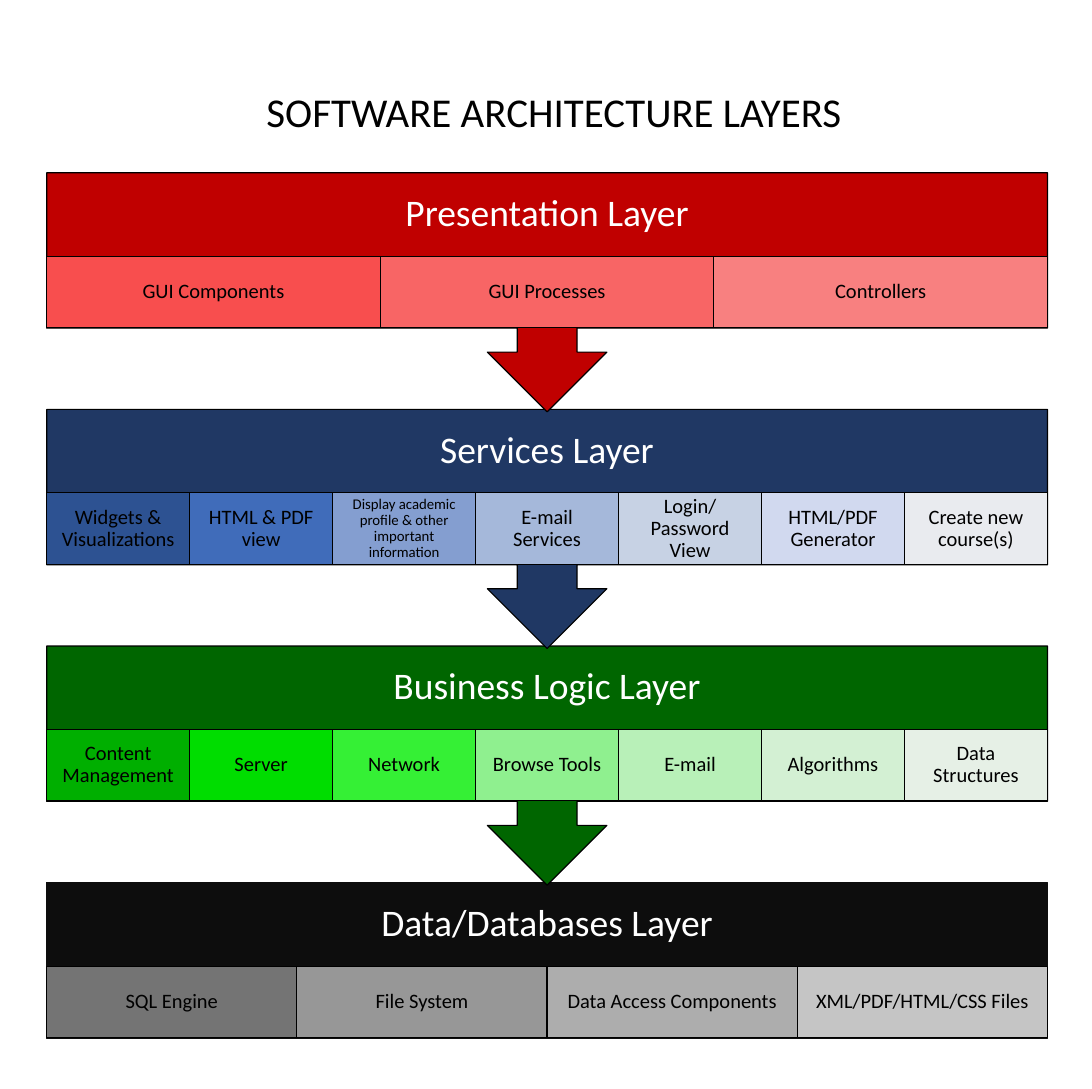
"""Draw the four software architecture layers as stacked callouts."""

from dataclasses import dataclass

from lxml.etree import SubElement
from pptx import Presentation
from pptx.dml.color import RGBColor
from pptx.enum.shapes import MSO_SHAPE
from pptx.enum.text import MSO_ANCHOR, MSO_AUTO_SIZE, PP_ALIGN
from pptx.oxml.ns import qn
from pptx.shapes.autoshape import Shape
from pptx.slide import Slide
from pptx.util import Inches, Pt

BLACK = RGBColor(0x00, 0x00, 0x00)
WHITE = RGBColor(0xFF, 0xFF, 0xFF)
RED = RGBColor(0xC0, 0x00, 0x00)
NAVY = RGBColor(0x20, 0x38, 0x64)
GREEN = RGBColor(0x00, 0x66, 0x00)
CHARCOAL = RGBColor(0x0D, 0x0D, 0x0D)
RED_SHADES = [RGBColor(0xFF, 0x57, 0x57), RGBColor(0xFF, 0x71, 0x71), RGBColor(0xFF, 0x8F, 0x8F)]
BLUE_SHADES = [
    RGBColor(0x2F, 0x55, 0x97), RGBColor(0x44, 0x72, 0xC4), RGBColor(0x8F, 0xAA, 0xDC),
    RGBColor(0xB4, 0xC7, 0xE7), RGBColor(0xDA, 0xE3, 0xF3), RGBColor(0xE5, 0xEB, 0xFF), WHITE,
]
GREEN_SHADES = [
    RGBColor(0x00, 0xB8, 0x00), RGBColor(0x00, 0xEA, 0x00), RGBColor(0x3B, 0xFF, 0x3B),
    RGBColor(0x9F, 0xFF, 0x9F), RGBColor(0xCD, 0xFF, 0xCD), RGBColor(0xEB, 0xFF, 0xEB), WHITE,
]
GRAY_SHADES = [
    RGBColor(0x80, 0x80, 0x80), RGBColor(0xA6, 0xA6, 0xA6),
    RGBColor(0xBF, 0xBF, 0xBF), RGBColor(0xD9, 0xD9, 0xD9),
]

LEFT, TOP, WIDTH = 0.57, 2.11, 12.22
LAYER_PITCH, BODY_HEIGHT, CALLOUT_HEIGHT = 2.89, 1.9, 2.92
TITLE_HEIGHT, COMPONENT_HEIGHT = 1.02, 0.87
SMALL_TEXT = "Display academic profile & other important information"


@dataclass
class Layer:
    """One layer with its title, main colour and components."""

    title: str
    color: RGBColor
    components: list[str]
    shades: list[RGBColor]


LAYERS = [
    Layer("Presentation Layer", RED, ["GUI Components", "GUI Processes", "Controllers"], RED_SHADES),
    Layer("Services Layer", NAVY, [
        "Widgets & Visualizations", "HTML & PDF view", SMALL_TEXT, "E-mail Services",
        "Login/Password View", "HTML/PDF Generator", "Create new course(s)",
    ], BLUE_SHADES),
    Layer("Business Logic Layer", GREEN, [
        "Content Management", "Server", "Network", "Browse Tools",
        "E-mail", "Algorithms", "Data Structures",
    ], GREEN_SHADES),
    Layer("Data/Databases Layer", CHARCOAL, [
        "SQL Engine", "File System", "Data Access Components", "XML/PDF/HTML/CSS Files",
    ], GRAY_SHADES),
]


def write_text(shape: Shape, text: str, size: int, color: RGBColor,
               side: float, edge: float, spacing: float = 0.9) -> None:
    """Set centred text with the given insets."""
    frame = shape.text_frame
    frame.text = text
    frame.word_wrap = True
    frame.vertical_anchor = MSO_ANCHOR.MIDDLE
    frame.margin_left = frame.margin_right = Inches(side)
    frame.margin_top = frame.margin_bottom = Inches(edge)
    paragraph = frame.paragraphs[0]
    paragraph.alignment = PP_ALIGN.CENTER
    paragraph.line_spacing = spacing
    font = paragraph.runs[0].font
    font.name = "Calibri"
    font.size = Pt(size)
    font.color.rgb = color


def add_box(slide: Slide, kind: MSO_SHAPE, left: float, top: float, width: float,
            height: float, fill: RGBColor, line: RGBColor = BLACK) -> Shape:
    """Add a filled shape with a thin outline."""
    shape = slide.shapes.add_shape(kind, Inches(left), Inches(top), Inches(width), Inches(height))
    shape.shadow.inherit = False
    shape.fill.solid()
    shape.fill.fore_color.rgb = fill
    shape.line.color.rgb = line
    shape.line.width = Pt(1)
    return shape


def add_label(slide: Slide, left: float, top: float, width: float, height: float) -> Shape:
    """Add an empty text box."""
    return slide.shapes.add_textbox(Inches(left), Inches(top), Inches(width), Inches(height))


def add_layer(slide: Slide, layer: Layer, top: float, is_last: bool) -> None:
    """Draw a layer with its title and an even row of components."""
    if is_last:
        add_box(slide, MSO_SHAPE.RECTANGLE, LEFT, top, WIDTH, BODY_HEIGHT, layer.color, layer.color)
    else:
        callout = add_box(slide, MSO_SHAPE.UP_ARROW_CALLOUT, LEFT, top, WIDTH, CALLOUT_HEIGHT, layer.color)
        callout.rotation = 180
    title = add_label(slide, LEFT, top, WIDTH, TITLE_HEIGHT)
    write_text(title, layer.title, 33, WHITE, 0.26, 0.26)

    width = WIDTH / len(layer.components)
    for index, (name, shade) in enumerate(zip(layer.components, layer.shades)):
        component = add_box(slide, MSO_SHAPE.RECTANGLE, LEFT + index * width, top + TITLE_HEIGHT,
                            width, COMPONENT_HEIGHT, shade)
        color = component.fill._xPr.find(f"{qn('a:solidFill')}/{qn('a:srgbClr')}")
        SubElement(color, qn("a:alpha"), val="90000")
        if name == SMALL_TEXT:
            write_text(component, name, 13, BLACK, 0.1, 0.02)
        else:
            write_text(component, name, 18, BLACK, 0.14, 0.03)


def main() -> None:
    """Build and save the slide."""
    presentation = Presentation()
    presentation.slide_width = Inches(40 / 3)
    presentation.slide_height = Inches(13.3)
    slide = presentation.slides.add_slide(presentation.slide_layouts[6])
    for index, layer in reversed(list(enumerate(LAYERS))):
        add_layer(slide, layer, TOP + index * LAYER_PITCH, index == len(LAYERS) - 1)
    heading = add_label(slide, 3.12, 1.01, 7.29, 0.71)
    write_text(heading, "SOFTWARE ARCHITECTURE LAYERS", 36, BLACK, 0.1, 0.05, 1.0)
    heading.text_frame.vertical_anchor = MSO_ANCHOR.TOP
    heading.text_frame.word_wrap = False
    heading.text_frame.auto_size = MSO_AUTO_SIZE.SHAPE_TO_FIT_TEXT
    presentation.save("out.pptx")


if __name__ == "__main__":
    main()
